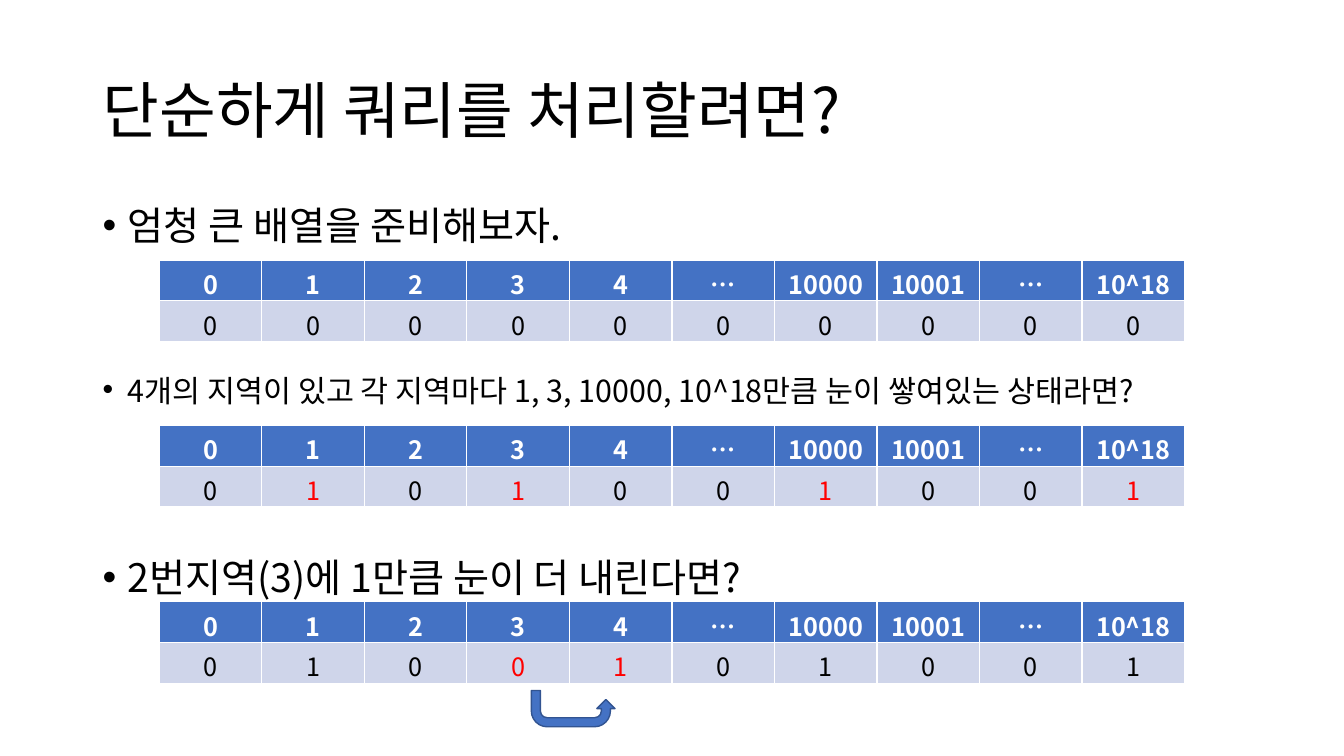
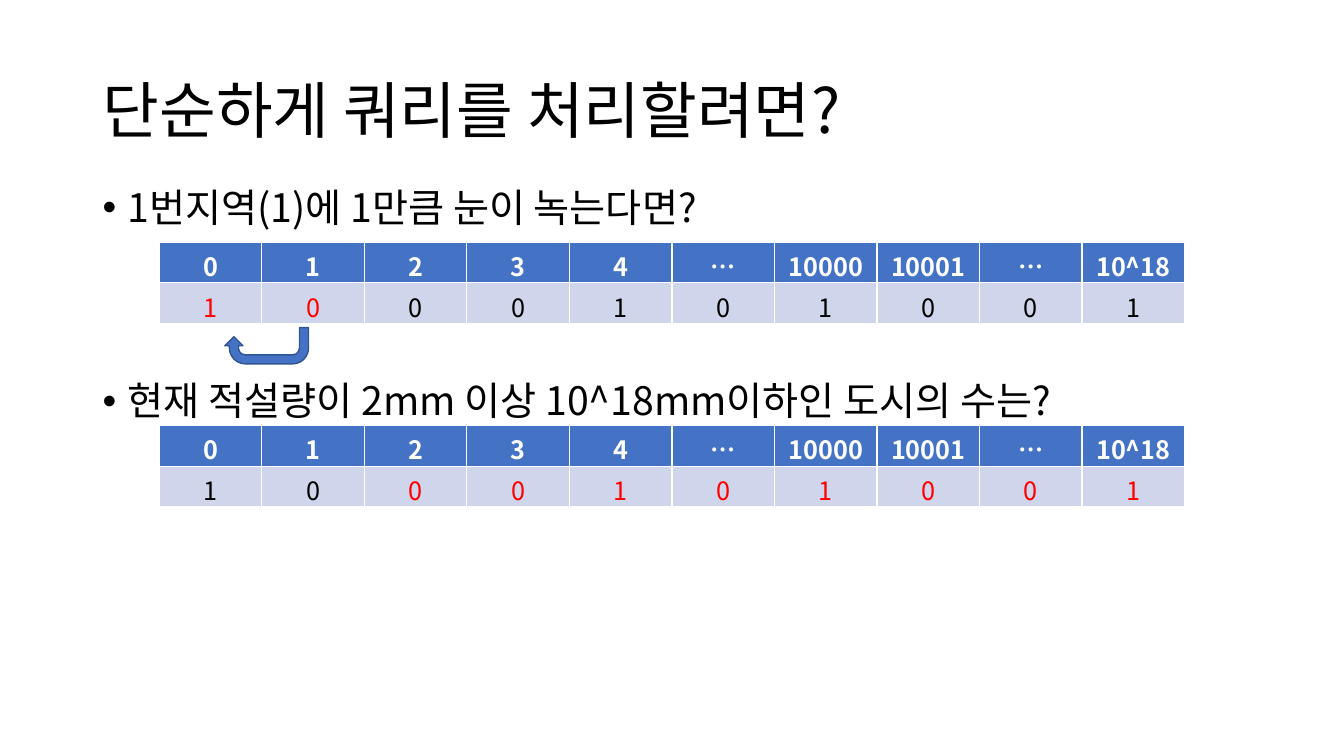
from lxml import etree
from pptx import Presentation
from pptx.dml.color import RGBColor
from pptx.enum.shapes import MSO_SHAPE
from pptx.enum.text import MSO_ANCHOR, PP_ALIGN
from pptx.oxml.ns import qn
from pptx.util import Inches, Pt

MIDDLE = MSO_ANCHOR.MIDDLE
CENTER = PP_ALIGN.CENTER
U_TURN = MSO_SHAPE.U_TURN_ARROW

# Shared style
FONT = "Noto Sans CJK KR"
BLACK, WHITE, RED = "000000", "FFFFFF", "FF0000"
HEADER_BLUE, ROW_BLUE, OUTLINE_BLUE = "4472C4", "CFD5EA", "325491"
TITLE = "단순하게 쿼리를 처리할려면?"
DEPTHS = ["0", "1", "2", "3", "4", "…", "10000", "10001", "…", "10^18"]
TEXT_LEFT, TEXT_WIDTH = 0.92, 11.5
TABLE_LEFT, TABLE_WIDTH, TABLE_HEIGHT = 1.58, 10.17, 0.81

# Each section: text, text top, size, line spacing, table top, counts, red columns
# Each arrow: left, top, points right
SLIDES = [
    {"sections": [
        ("엄청 큰 배열을 준비해보자.", 2, 28, 0.9, 2.58, "0000000000", []),
        ("4개의 지역이 있고 각 지역마다 1, 3, 10000, 10^18만큼 눈이 쌓여있는 상태라면?",
         3.74, 21.7, 0.7, 4.22, "0101001001", [1, 3, 6, 9]),
        ("2번지역(3)에 1만큼 눈이 더 내린다면?",
         5.49, 28, 0.9, 5.97, "0100101001", [3, 4])],
     "arrow": (5.27, 6.85, True)},
    {"sections": [
        ("1번지역(1)에 1만큼 눈이 녹는다면?",
         1.82, 28, 0.9, 2.4, "1000101001", [0, 1]),
        ("현재 적설량이 2mm 이상 10^18mm이하인 도시의 수는?",
         3.74, 28, 0.9, 4.22, "1000101001", range(2, 10))],
     "arrow": (2.23, 3.25, False)},
]
# The second table of the first slide marks the four regions
SLIDES[0]["sections"][1] = SLIDES[0]["sections"][1][:5] + (
    "".join("1" if column in (1, 3, 6, 9) else "0" for column in range(10)), [1, 3, 6, 9])


def color(hex_string):
    return RGBColor.from_string(hex_string)


def write(text_frame, text, size, hex_string, bold=False):
    text_frame.text = text
    paragraph = text_frame.paragraphs[0]
    font = paragraph.runs[0].font
    font.name, font.size, font.bold = FONT, Pt(size), bold
    font.color.rgb = color(hex_string)
    east_asian = etree.SubElement(font._element, qn("a:ea"))
    east_asian.set("typeface", FONT)
    return paragraph


presentation = Presentation()
presentation.slide_width = Inches(13.33)
presentation.slide_height = Inches(7.5)

for content in SLIDES:
    slide = presentation.slides.add_slide(presentation.slide_layouts[6])

    # Title
    title = slide.shapes.add_textbox(
        Inches(TEXT_LEFT), Inches(0.4), Inches(TEXT_WIDTH), Inches(1.45))
    title.text_frame.word_wrap = True
    title.text_frame.vertical_anchor = MIDDLE
    write(title.text_frame, TITLE, 44, BLACK).line_spacing = 0.9

    for text, text_top, size, spacing, table_top, counts, red_columns in content["sections"]:
        # Bullet line
        bullet_box = slide.shapes.add_textbox(
            Inches(TEXT_LEFT), Inches(text_top), Inches(TEXT_WIDTH), Inches(0.6))
        bullet_box.text_frame.word_wrap = True
        paragraph = write(bullet_box.text_frame, text, size, BLACK)
        paragraph.line_spacing = spacing
        paragraph.space_before = Pt(10)
        properties = paragraph._p.get_or_add_pPr()
        properties.set("marL", str(Inches(0.25)))
        properties.set("indent", str(-Inches(0.25)))
        etree.SubElement(properties, qn("a:buFont")).set("typeface", "Arial")
        etree.SubElement(properties, qn("a:buChar")).set("char", "•")

        # Array: snow depth above, number of regions below
        table = slide.shapes.add_table(
            2, len(DEPTHS), Inches(TABLE_LEFT), Inches(table_top),
            Inches(TABLE_WIDTH), Inches(TABLE_HEIGHT)).table
        for row, values in enumerate([DEPTHS, counts]):
            is_header = row == 0
            for column, value in enumerate(values):
                cell = table.cell(row, column)
                cell.fill.solid()
                cell.fill.fore_color.rgb = color(HEADER_BLUE if is_header else ROW_BLUE)
                count_color = RED if column in red_columns else BLACK
                text_color = WHITE if is_header else count_color
                write(cell.text_frame, value, 18, text_color, is_header).alignment = CENTER

    # Arrow between neighbouring cells
    left, top, points_right = content["arrow"]
    arrow = slide.shapes.add_shape(
        U_TURN, Inches(left), Inches(top), Inches(0.83), Inches(0.36))
    arrow.rotation = 180
    if points_right:
        arrow._element.spPr.xfrm.set("flipH", "1")
    arrow.shadow.inherit = False
    arrow.fill.solid()
    arrow.fill.fore_color.rgb = color(HEADER_BLUE)
    arrow.line.color.rgb = color(OUTLINE_BLUE)
    arrow.line.width = Pt(1)

presentation.save("out.pptx")
